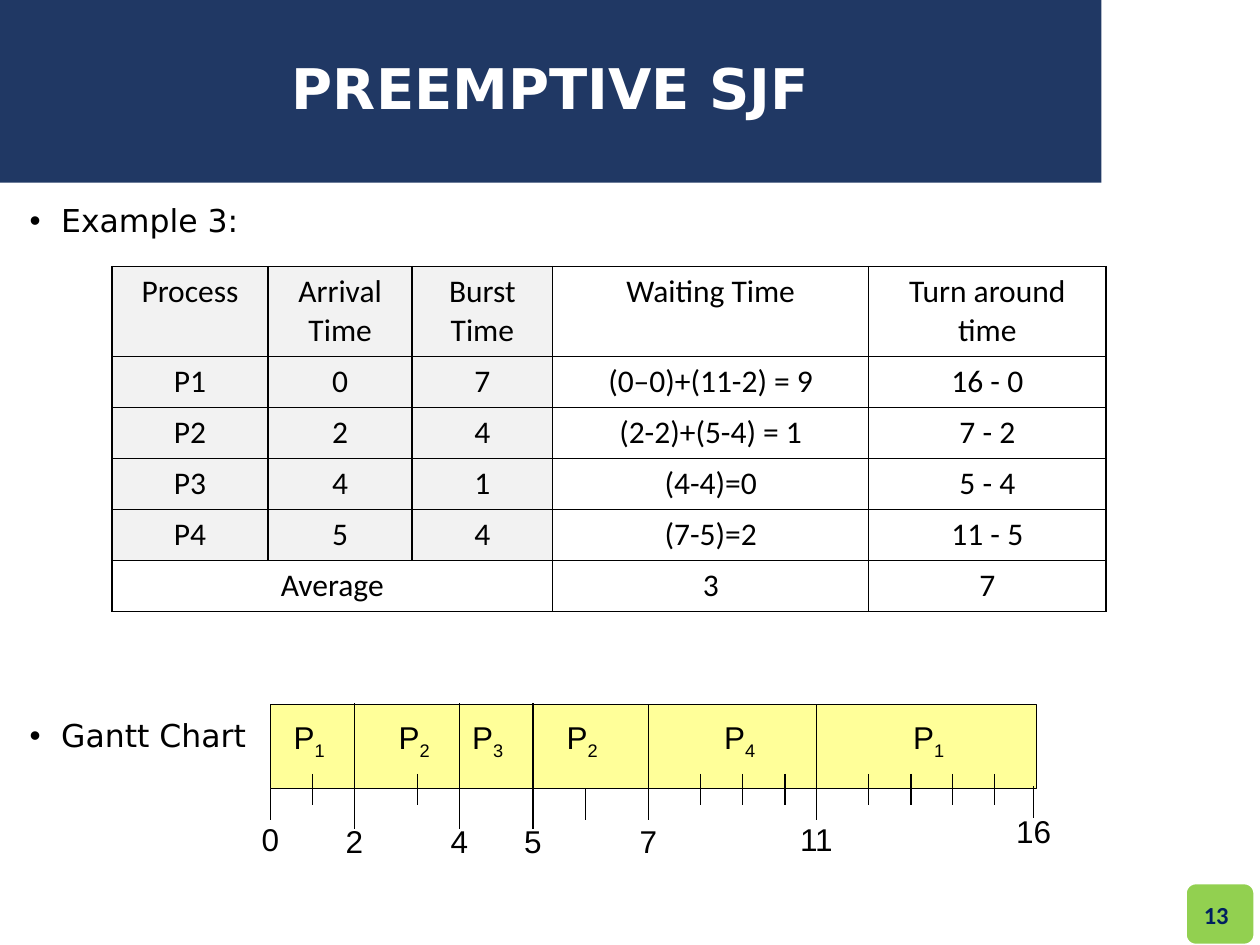
from pptx import Presentation
from pptx.dml.color import RGBColor
from pptx.enum.shapes import MSO_CONNECTOR, MSO_SHAPE
from pptx.enum.text import MSO_ANCHOR, PP_ALIGN
from pptx.oxml.ns import qn
from pptx.util import Inches, Pt
from lxml import etree

LEFT, MID, RIGHT = PP_ALIGN.LEFT, PP_ALIGN.CENTER, PP_ALIGN.RIGHT
TOP, CORE = MSO_ANCHOR.TOP, MSO_ANCHOR.MIDDLE
RECT, ROUND = MSO_SHAPE.RECTANGLE, MSO_SHAPE.ROUNDED_RECTANGLE
LINE = MSO_CONNECTOR.STRAIGHT
BLACK, WHITE, GREY = "000000", "FFFFFF", "F2F2F2"

ROWS = [
    ["Process", "Arrival Time", "Burst Time", "Waiting Time", "Turn around time"],
    ["P1", "0", "7", "(0–0)+(11-2) = 9", "16 - 0"],
    ["P2", "2", "4", "(2-2)+(5-4) = 1", "7 - 2"],
    ["P3", "4", "1", "(4-4)=0", "5 - 4"],
    ["P4", "5", "4", "(7-5)=2", "11 - 5"],
    ["Average", "", "", "3", "7"],
]
WIDTHS = [14.9, 13.7, 13.4, 30.1, 22.6]
JOBS = [(4, "1"), (14, "2"), (21, "3"), (30, "2"), (45, "4"), (63, "1")]
MARKS = [
    (0, "0", 8, 11, 13),
    (8, "2", -0.1, 11.9, 13.2),
    (18, "4", -0.1, 11.9, 13.2),
    (25, "5", -0.1, 11.9, 13.2),
    (36, "7", 0, 11, 13.2),
    (52, "11", 0, 11, 13),
    (72.7, "16", 7.8, 10.8, 12.2),
]
TICKS = [4, 14, 41, 45, 49, 57, 61, 65, 69]


def grid(*cells):
    return [Inches(cell / 12) for cell in cells]


def color(code):
    return RGBColor.from_string(code)


def write(frame, text, sub="", font="Arial", size=18, ink=BLACK, bold=False,
          align=MID, anchor=CORE, space=1, wrap=True, bullet=False):
    frame.word_wrap = wrap
    frame.vertical_anchor = anchor
    para = frame.paragraphs[0]
    para.alignment = align
    para.line_spacing = space
    if bullet:
        props = para._p.get_or_add_pPr()
        props.set("marL", str(Inches(0.25)))
        props.set("indent", str(-Inches(0.25)))
        etree.SubElement(props, qn("a:buFont")).set("typeface", "Arial")
        etree.SubElement(props, qn("a:buChar")).set("char", "•")
    for part in filter(None, (text, sub)):
        run = para.add_run()
        run.text = part
        run.font.name = font
        run.font.size = Pt(size)
        run.font.bold = bold
        run.font.color.rgb = color(ink)
    if sub:
        run._r.get_or_add_rPr().set("baseline", "-25000")


def label(slide, box, text, **form):
    shape = slide.shapes.add_textbox(*grid(*box))
    write(shape.text_frame, text, **form)


def block(slide, kind, box, fill, edge, width):
    shape = slide.shapes.add_shape(kind, *grid(*box))
    shape.shadow.inherit = False
    shape.fill.solid()
    shape.fill.fore_color.rgb = color(fill)
    shape.line.color.rgb = color(edge)
    shape.line.width = Pt(width)


def stroke(slide, x, start, end):
    line = slide.shapes.add_connector(LINE, *grid(x, start, x, end))
    line.line.color.rgb = color(BLACK)
    line.line.width = Pt(0.75)
    etree.SubElement(line._element.spPr, qn("a:effectLst"))


def border(cell):
    props = cell._tc.get_or_add_tcPr()
    for side in ("lnL", "lnR", "lnT", "lnB"):
        line = etree.SubElement(props, qn("a:" + side), w=str(Pt(1)))
        fill = etree.SubElement(line, qn("a:solidFill"))
        etree.SubElement(fill, qn("a:srgbClr"), val=BLACK)


def header(slide, box):
    title = slide.shapes.title
    title.left, title.top, title.width, title.height = grid(*box)
    title.fill.solid()
    title.fill.fore_color.rgb = color("203864")
    write(title.text_frame, "PREEMPTIVE SJF", font="DejaVu Sans", size=32,
          ink=WHITE, bold=True, space=0.9)


def point(slide, box, text):
    label(slide, box, text, font="DejaVu Sans", align=LEFT, anchor=TOP,
          space=0.9, bullet=True)


def times(slide, box):
    table = slide.shapes.add_table(len(ROWS), len(WIDTHS), *grid(*box)).table
    table.first_row = table.horz_banding = False
    for col, width in zip(table.columns, grid(*WIDTHS)):
        col.width = width
    for row, height in zip(table.rows, grid(8.55, *[4.86] * 5)):
        row.height = height
    last = len(ROWS) - 1
    table.cell(last, 0).merge(table.cell(last, 2))
    for r, row in enumerate(ROWS):
        for c, text in enumerate(row):
            cell = table.cell(r, c)
            border(cell)
            if c < 3 and r < last:
                cell.fill.solid()
                cell.fill.fore_color.rgb = color(GREY)
            else:
                cell.fill.background()
            if text:
                write(cell.text_frame, text, font="Calibri", anchor=TOP)


def gantt(slide, box):
    x, y = box[:2]

    def name(col, row, text, sub=""):
        label(slide, (x + col - 4, y + row - 2.4, 8, 4.8), text, sub=sub,
              space=0.93, wrap=False)

    block(slide, RECT, box, "FFFF99", BLACK, 0.75)
    for col, sub in JOBS:
        name(col - 0.3, 3.2, "P", sub)
    for col, text, start, end, row in MARKS:
        stroke(slide, x + col, y + start, y + end)
        name(col, row, text)
    for col in TICKS:
        stroke(slide, x + col, y + 6.6, y + 9.6)
    stroke(slide, x + 30, y + 8, y + 11)


def badge(slide, box):
    x, y, width, height = box
    block(slide, ROUND, box, "92D050", WHITE, 1.5)
    label(slide, (x, y + 0.6, width - 1.3, height - 1.1), "13",
          font="Calibri", size=14, ink="002060", bold=True, align=RIGHT)


def main():
    deck = Presentation()
    deck.slide_width, deck.slide_height = grid(120, 90)
    slide = deck.slides.add_slide(deck.slide_layouts[5])
    header(slide, (0, 0, 104.9, 17.4))
    point(slide, (1.65, 19, 40, 4.5), "Example 3:")
    times(slide, (10.65, 25.4, sum(WIDTHS), 32.85))
    point(slide, (1.65, 68, 24, 4.5), "Gantt Chart")
    gantt(slide, (25.75, 67.1, 73, 8))
    badge(slide, (112.9, 84.1, 6.6, 5.9))
    deck.save("out.pptx")


if __name__ == "__main__":
    main()
